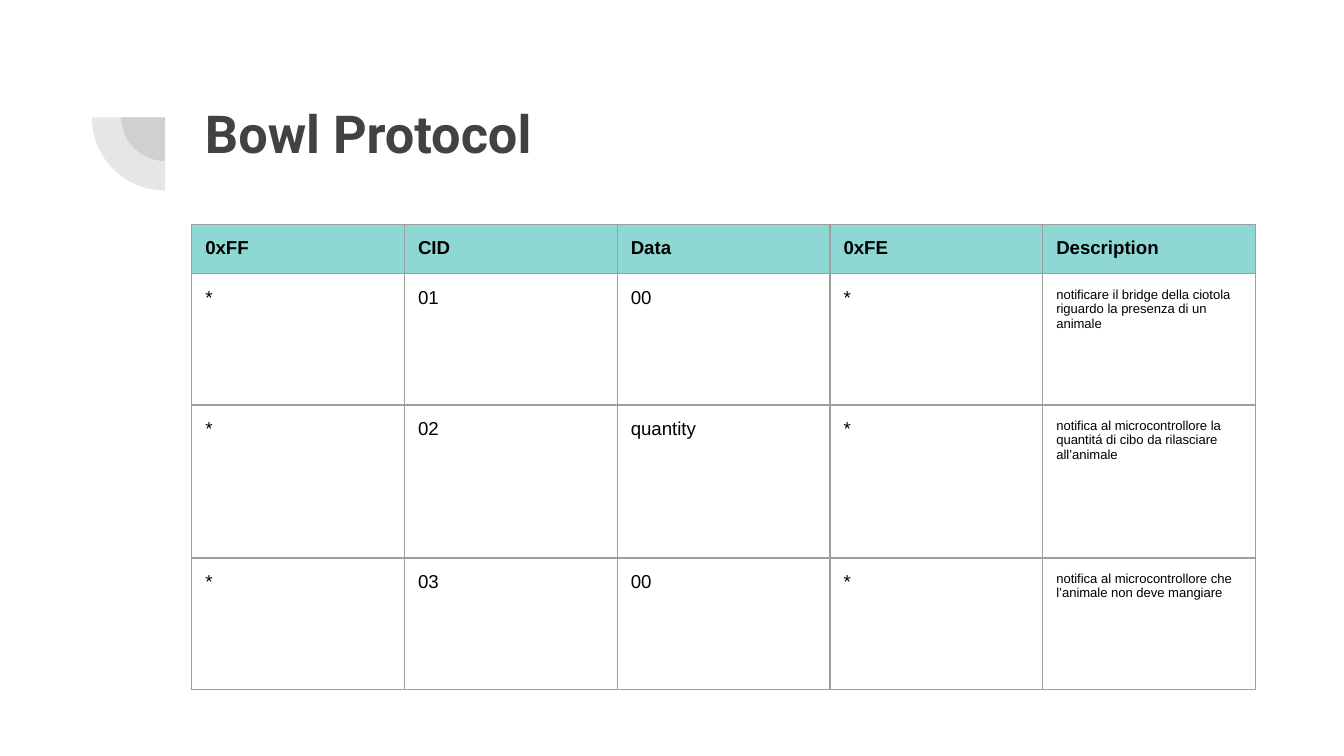
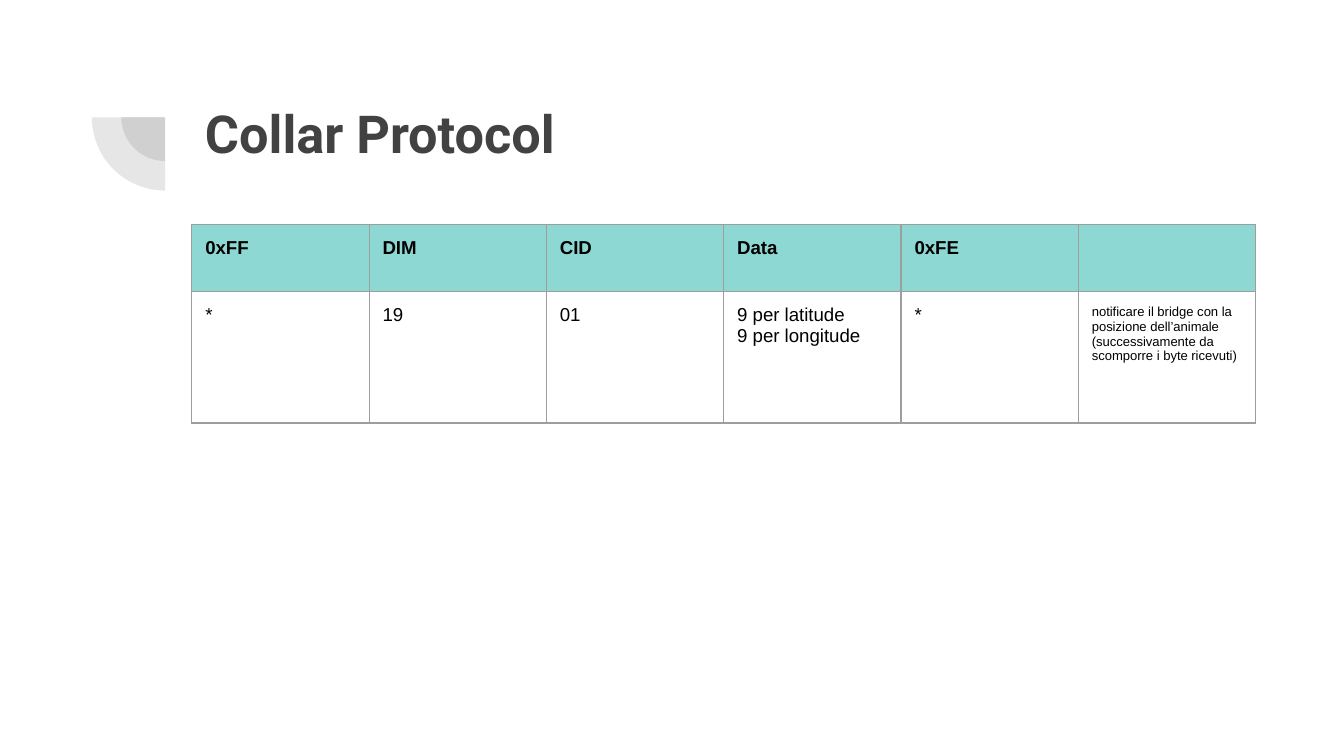
from dataclasses import dataclass

from lxml.etree import SubElement
from pptx import Presentation
from pptx.dml.color import RGBColor
from pptx.enum.shapes import MSO_SHAPE
from pptx.oxml.ns import qn
from pptx.util import Pt


@dataclass(frozen=True)
class Theme:
    # Colours
    title_color: str = "424242"
    text_color: str = "000000"
    header_fill: str = "8DD8D3"
    border_color: str = "9E9E9E"
    # Fonts and type sizes
    title_font: str = "Roboto"
    body_font: str = "Arial"
    title_size: float = 28
    cell_size: float = 10
    note_size: float = 7
    # Measures in points
    inset: float = 7.2
    border_width: float = 0.75
    left: float = 102.75


def write(frame, text, *, font, size, color, bold=False):
    """Fill a text frame, one paragraph for each line of text."""
    for index, line in enumerate(text.split("\n")):
        para = frame.add_paragraph() if index else frame.paragraphs[0]
        span = para.add_run()
        span.text = line
        span.font.name = font
        span.font.size = Pt(size)
        span.font.bold = bold
        span.font.color.rgb = RGBColor.from_string(color)


def set_margins(target, inset):
    for side in ("left", "top", "right", "bottom"):
        setattr(target, f"margin_{side}", Pt(inset))


class SlideBuilder:
    def __init__(self, deck, theme):
        self.deck = deck
        self.theme = theme
        self.slide = None

    def start(self, title):
        """Open a slide with the shared corner ornament and title."""
        self.slide = self.deck.slides.add_slide(self.deck.slide_layouts[6])
        for diameter in (47, 78.6):
            self.quarter_disc(88.5, 62.8, diameter)
        self.title(title)

    def quarter_disc(self, center_x, center_y, diameter):
        radius = diameter / 2
        disc = self.slide.shapes.add_shape(
            MSO_SHAPE.PIE, Pt(center_x - radius), Pt(center_y - radius),
            Pt(diameter), Pt(diameter))
        disc.adjustments[0] = 108
        disc.adjustments[1] = 162
        disc.rotation = 270
        disc.shadow.inherit = False
        disc.line.fill.background()
        disc.fill.solid()
        disc.fill.fore_color.rgb = RGBColor.from_string(self.theme.title_color)
        color = disc.fill._xPr.find(qn("a:solidFill"))[0]
        SubElement(color, qn("a:alpha"), val="13000")

    def title(self, text):
        theme = self.theme
        box = self.slide.shapes.add_textbox(
            Pt(theme.left), Pt(46.8), Pt(553.5), Pt(78.5))
        frame = box.text_frame
        frame.word_wrap = True
        set_margins(frame, theme.inset)
        write(frame, text, font=theme.title_font, size=theme.title_size,
              color=theme.title_color, bold=True)

    def table(self, rows, heights, width=570):
        """Add a table with equal columns; the last column holds notes."""
        theme = self.theme
        count = len(rows[0])
        table = self.slide.shapes.add_table(
            len(rows), count, Pt(theme.left), Pt(120.25),
            Pt(width), Pt(sum(heights))).table
        table.first_row = False
        table.horz_banding = False
        for column in table.columns:
            column.width = Pt(width / count)
        for row_index, (texts, height) in enumerate(zip(rows, heights)):
            table.rows[row_index].height = Pt(height)
            for column_index, text in enumerate(texts):
                is_header = row_index == 0
                is_note = not is_header and column_index == count - 1
                self.cell(table.cell(row_index, column_index), text,
                          is_header, is_note)

    def cell(self, cell, text, is_header, is_note):
        theme = self.theme
        set_margins(cell, theme.inset)
        self.borders(cell)
        if is_header:
            cell.fill.solid()
            cell.fill.fore_color.rgb = RGBColor.from_string(theme.header_fill)
        else:
            cell.fill.background()
        if text:
            write(cell.text_frame, text, font=theme.body_font,
                  size=theme.note_size if is_note else theme.cell_size,
                  color=theme.text_color, bold=is_header)

    def borders(self, cell):
        properties = cell._tc.get_or_add_tcPr()
        for side in ("lnL", "lnR", "lnT", "lnB"):
            line = SubElement(properties, qn(f"a:{side}"),
                              w=str(Pt(self.theme.border_width)))
            fill = SubElement(line, qn("a:solidFill"))
            SubElement(fill, qn("a:srgbClr"), val=self.theme.border_color)


def main():
    deck = Presentation()
    deck.slide_width = Pt(720)
    deck.slide_height = Pt(405)
    builder = SlideBuilder(deck, Theme())

    # Bowl messages
    builder.start("Bowl Protocol")
    builder.table([
        ("0xFF", "CID", "Data", "0xFE", "Description"),
        ("*", "01", "00", "*",
         "notificare il bridge della ciotola riguardo la presenza di un animale"),
        ("*", "02", "quantity", "*",
         "notifica al microcontrollore la quantitá di cibo da rilasciare all’animale"),
        ("*", "03", "00", "*",
         "notifica al microcontrollore che l’animale non deve mangiare"),
    ], heights=(22.5, 70.3, 82, 70.3))

    # Collar messages
    builder.start("Collar Protocol")
    builder.table([
        ("0xFF", "DIM", "CID", "Data", "0xFE", ""),
        ("*", "19", "01", "9 per latitude\n9 per longitude", "*",
         "notificare il bridge con la posizione dell’animale\n"
         "(successivamente da scomporre i byte ricevuti)"),
    ], heights=(22.5, 70.3))

    deck.save("out.pptx")


if __name__ == "__main__":
    main()
